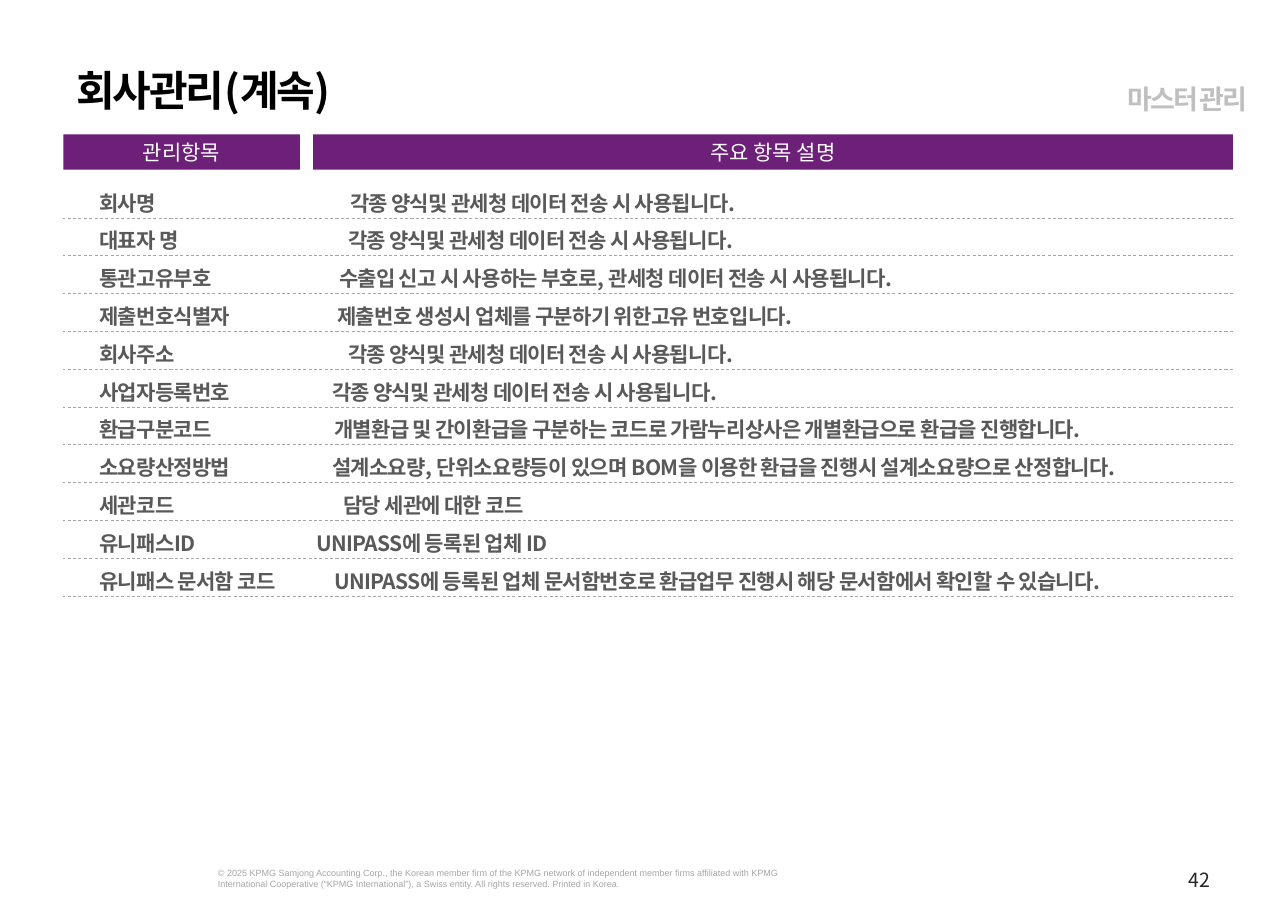
"""Build the company management slide with its list of master data items."""
from dataclasses import dataclass

from lxml import etree
from pptx import Presentation
from pptx.dml.color import RGBColor
from pptx.enum.dml import MSO_LINE
from pptx.enum.shapes import MSO_CONNECTOR, MSO_SHAPE
from pptx.enum.text import MSO_ANCHOR, MSO_AUTO_SIZE, PP_ALIGN
from pptx.oxml.ns import qn
from pptx.util import Pt

LEFT, CENTER, RIGHT = PP_ALIGN.LEFT, PP_ALIGN.CENTER, PP_ALIGN.RIGHT
TOP, MIDDLE = MSO_ANCHOR.TOP, MSO_ANCHOR.MIDDLE
NO_AUTOFIT = MSO_AUTO_SIZE.NONE
RECTANGLE = MSO_SHAPE.RECTANGLE
STRAIGHT = MSO_CONNECTOR.STRAIGHT
DASH = MSO_LINE.DASH

KOREAN_FONT = "Noto Sans CJK KR"
COLORS = {
    "title": "000000",
    "section": "BFBFBF",
    "header": "6D2077",
    "header_text": "FFFFFF",
    "body": "595959",
    "rule": "A6A6A6",
    "copyright": "A6A6A6",
    "page": "262626",
}
TABLE_LEFT, TABLE_RIGHT = 42.2, 822.25
FIRST_RULE, ROW_HEIGHT = 145.3, 25.2


@dataclass(frozen=True)
class Box:
    left: float
    top: float
    width: float
    height: float


@dataclass(frozen=True)
class Style:
    size: float
    color: str
    font: str = KOREAN_FONT
    bold: bool = False
    tracking: float = 0
    align: PP_ALIGN = LEFT
    anchor: MSO_ANCHOR = TOP
    line_spacing: float = 1.0
    space_after: float = 0


@dataclass(frozen=True)
class Header:
    text: str
    box: Box


@dataclass(frozen=True)
class Item:
    name: str
    description: str
    tab: float


TITLE = Style(28, "title", bold=True, tracking=-1.5, space_after=6)
SECTION = Style(18, "section", bold=True, tracking=-1.5, align=RIGHT, space_after=6)
HEADER = Style(14, "header_text", align=CENTER, anchor=MIDDLE)
BODY = Style(14, "body", bold=True, tracking=-0.5, anchor=MIDDLE, line_spacing=1.5)
COPYRIGHT = Style(6, "copyright", font="Arial")
PAGE = Style(13, "page", align=RIGHT, anchor=MIDDLE)

HEADERS = [
    Header("관리항목", Box(TABLE_LEFT, 89.6, 157.8, 23.5)),
    Header("주요 항목 설명", Box(208.8, 89.6, 613.45, 23.5)),
]
TRANSFER = "각종 양식및 관세청 데이터 전송 시 사용됩니다."
ITEMS = [
    Item("회사명", TRANSFER, 167.3),
    Item("대표자 명", TRANSFER, 166),
    Item("통관고유부호", "수출입 신고 시 사용하는 부호로, 관세청 데이터 전송 시 사용됩니다.", 160),
    Item("제출번호식별자", "제출번호 생성시 업체를 구분하기 위한고유 번호입니다.", 158.7),
    Item("회사주소", TRANSFER, 166),
    Item("사업자등록번호", TRANSFER, 155.3),
    Item("환급구분코드", "개별환급 및 간이환급을 구분하는 코드로 가람누리상사은 개별환급으로 환급을 진행합니다.", 156.7),
    Item("소요량산정방법", "설계소요량, 단위소요량등이 있으며 BOM을 이용한 환급을 진행시 설계소요량으로 산정합니다.", 155.3),
    Item("세관코드", "담당 세관에 대한 코드", 162.7),
    Item("유니패스ID", "UNIPASS에 등록된 업체 ID", 144.7),
    Item("유니패스 문서함 코드", "UNIPASS에 등록된 업체 문서함번호로 환급업무 진행시 해당 문서함에서 확인할 수 있습니다.", 156.7),
]
COPYRIGHT_TEXT = (
    "© 2025 KPMG Samjong Accounting Corp., the Korean member firm of the KPMG network of "
    "independent member firms affiliated with KPMG International Cooperative (“KPMG "
    "International”), a Swiss entity. All rights reserved. Printed in Korea."
)


def color(name: str) -> RGBColor:
    return RGBColor.from_string(COLORS[name])


def place(shape, box: Box) -> None:
    shape.left, shape.top = Pt(box.left), Pt(box.top)
    shape.width, shape.height = Pt(box.width), Pt(box.height)


def write(shape, text: str, style: Style, right_inset: float = 0) -> None:
    frame = shape.text_frame
    frame.text = text
    frame.word_wrap = True
    frame.auto_size = NO_AUTOFIT
    frame.vertical_anchor = style.anchor
    frame.margin_left = frame.margin_top = frame.margin_bottom = 0
    frame.margin_right = Pt(right_inset)
    for paragraph in frame.paragraphs:
        paragraph.alignment = style.align
        paragraph.line_spacing = style.line_spacing
        paragraph.space_before = Pt(0)
        paragraph.space_after = Pt(style.space_after)
        for run in paragraph.runs:
            run.font.size = Pt(style.size)
            run.font.bold = style.bold
            run.font.name = style.font
            run.font.color.rgb = color(style.color)
            properties = run._r.get_or_add_rPr()
            properties.set("kern", "0")
            properties.set("spc", str(round(style.tracking * 100)))
            east_asian = etree.Element(qn("a:ea"), typeface=style.font)
            properties.find(qn("a:latin")).addnext(east_asian)


def add_text(slide, box: Box, text: str, style: Style, right_inset: float = 0):
    shape = slide.shapes.add_textbox(0, 0, 0, 0)
    place(shape, box)
    write(shape, text, style, right_inset)
    return shape


def add_header(slide, header: Header) -> None:
    shape = slide.shapes.add_shape(RECTANGLE, 0, 0, 0, 0)
    place(shape, header.box)
    shape.shadow.inherit = False
    shape.fill.solid()
    shape.fill.fore_color.rgb = color("header")
    shape.line.fill.background()
    write(shape, header.text, HEADER)


def add_rule(slide, y: float) -> None:
    rule = slide.shapes.add_connector(STRAIGHT, Pt(TABLE_RIGHT), Pt(y), Pt(TABLE_LEFT), Pt(y))
    rule.line.color.rgb = color("rule")
    rule.line.width = Pt(0.5)
    rule.line.dash_style = DASH
    etree.SubElement(rule._element.spPr, qn("a:effectLst"))


def add_items(slide, box: Box, items: list[Item]) -> None:
    text = "\n".join(f"{item.name}\t{item.description}" for item in items)
    shape = add_text(slide, box, text, BODY)
    for paragraph, item in zip(shape.text_frame.paragraphs, items):
        tabs = etree.SubElement(paragraph._p.get_or_add_pPr(), qn("a:tabLst"))
        etree.SubElement(tabs, qn("a:tab"), pos=str(Pt(item.tab)), algn="l")


def main() -> None:
    presentation = Presentation()
    presentation.slide_width, presentation.slide_height = Pt(859), Pt(612)
    slide = presentation.slides.add_slide(presentation.slide_layouts[5])

    title = slide.shapes.title
    place(title, Box(51.1, 43.2, 755.3, 33.8))
    write(title, "회사관리(계속)", TITLE)
    add_text(slide, Box(702.7, 54.7, 128.9, 21.6), "마스터 관리", SECTION)
    for header in HEADERS:
        add_header(slide, header)
    add_items(slide, Box(66.25, 117, 756, 280), ITEMS)
    for row in range(len(ITEMS)):
        add_rule(slide, FIRST_RULE + row * ROW_HEIGHT)
    add_text(slide, Box(145.4, 578.2, 400.3, 29.5), COPYRIGHT_TEXT, COPYRIGHT)
    add_text(slide, Box(663.1, 570.2, 144, 32.4), "42", PAGE)
    presentation.save("out.pptx")


if __name__ == "__main__":
    main()
